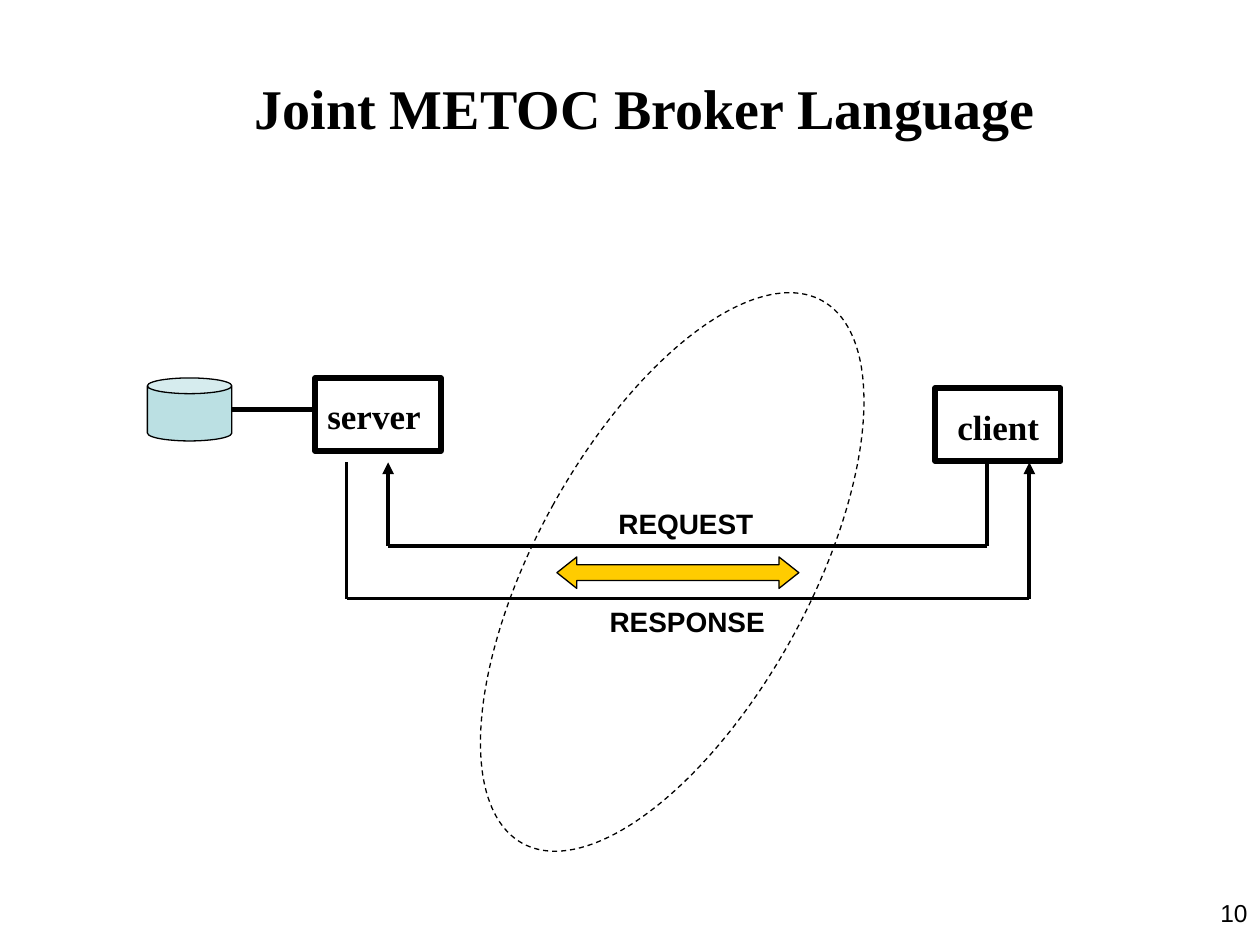
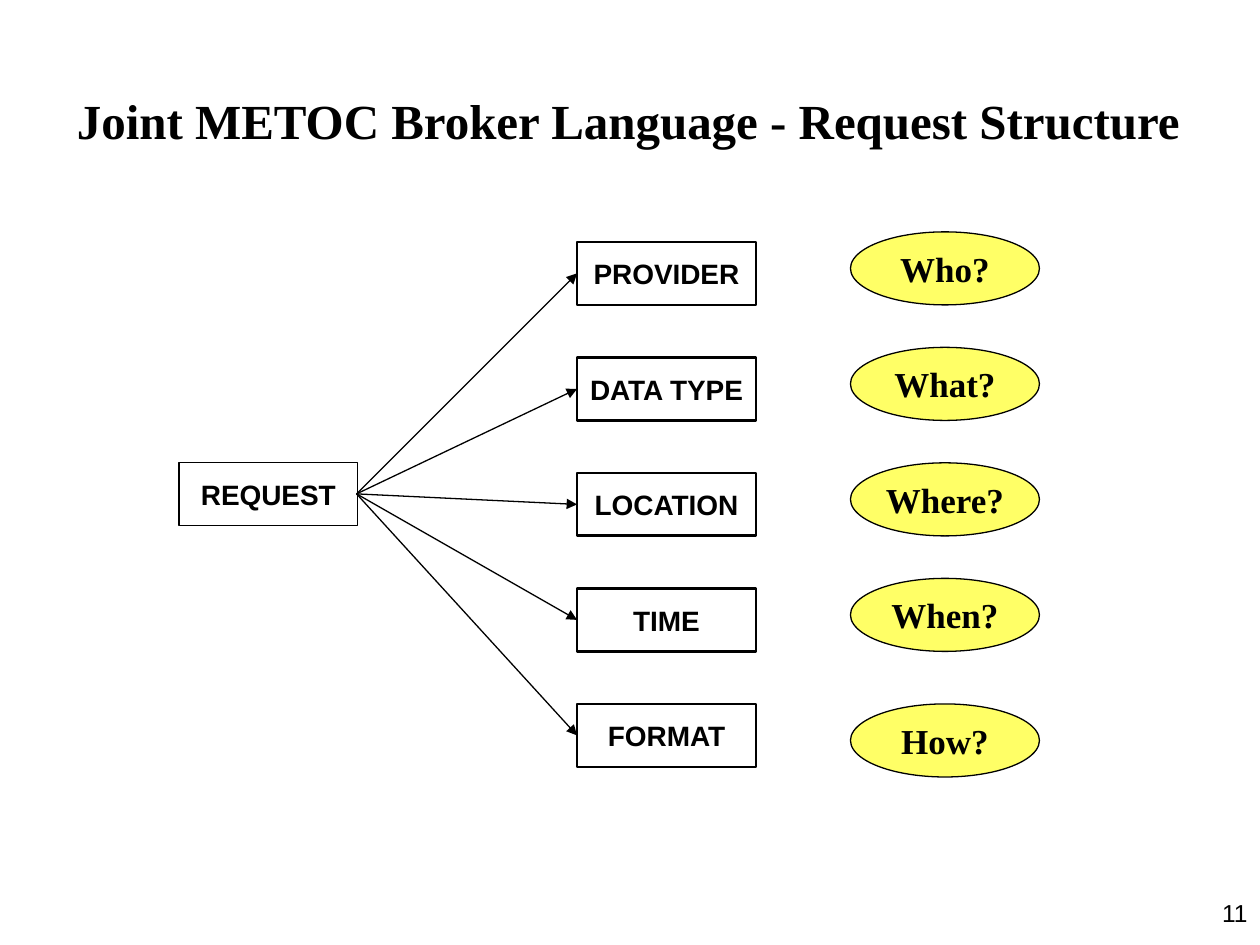
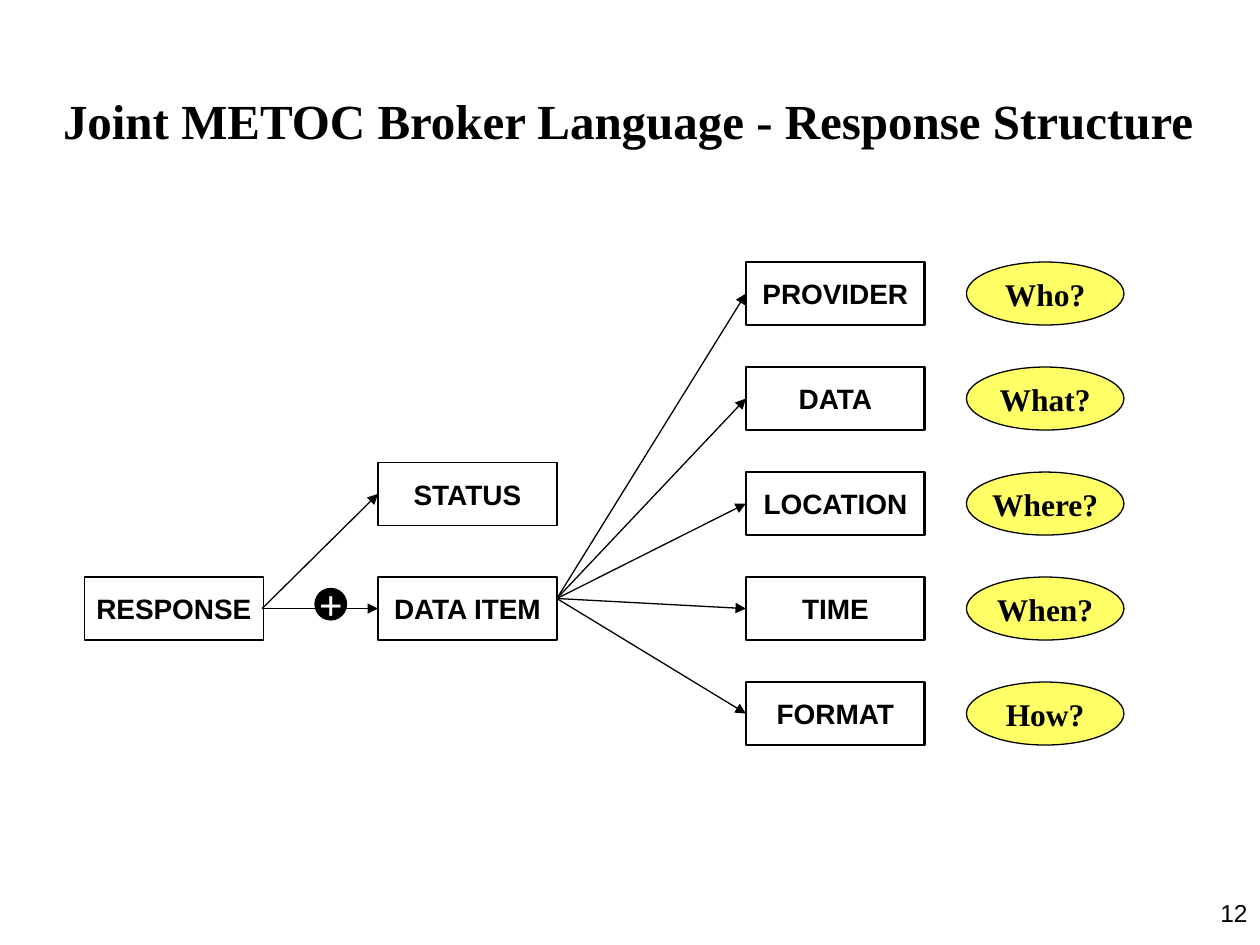
import pptx
import pptx.util
import pptx.dml.color
import pptx.enum.dml
import pptx.enum.shapes
import pptx.enum.text
import pptx.oxml.ns
from lxml import etree

Inches = pptx.util.Inches
Pt = pptx.util.Pt
RGBColor = pptx.dml.color.RGBColor
SHAPE = pptx.enum.shapes.MSO_SHAPE
ALIGN = pptx.enum.text.PP_ALIGN
ANCHOR = pptx.enum.text.MSO_ANCHOR
qn = pptx.oxml.ns.qn

BLACK = RGBColor(0x00, 0x00, 0x00)
WHITE = RGBColor(0xFF, 0xFF, 0xFF)
YELLOW = RGBColor(0xFF, 0xFF, 0x66)
GOLD = RGBColor(0xFF, 0xCC, 0x00)
PALE_BLUE = RGBColor(0xBB, 0xE0, 0xE3)
SERIF = "Times New Roman"
SANS = "Arial"
BOX_WIDTH, BOX_HEIGHT = 1.42, 0.5

OVERVIEW_LABELS = [
    ("server", (2.5, 3.08, 0.94, 0.44), SERIF, 20),
    ("client", (7.5, 3.17, 0.85, 0.44), SERIF, 20),
    ("REQUEST", (4.81, 3.97, 1.27, 0.37), SANS, 16),
    ("RESPONSE", (4.74, 4.75, 1.43, 0.37), SANS, 16),
]
OVERVIEW_ROUTES = [
    [(7.83, 3.67), (7.83, 4.33), (3.08, 4.33), (3.08, 3.67)],
    [(2.75, 3.67), (2.75, 4.75), (8.17, 4.75), (8.17, 3.67)],
]
REQUEST_PARTS = [
    ("PROVIDER", "Who?"),
    ("DATA TYPE", "What?"),
    ("LOCATION", "Where?"),
    ("TIME", "When?"),
    ("FORMAT", "How?"),
]
RESPONSE_PARTS = [
    ("DATA" if part == "DATA TYPE" else part, question)
    for part, question in REQUEST_PARTS
]


def write(shape, text, font_name, size, color=BLACK, bold=True, align=ALIGN.LEFT,
          anchor=ANCHOR.TOP, wrap=False):
    frame = shape.text_frame
    frame.text = text
    frame.word_wrap = wrap
    frame.vertical_anchor = anchor
    frame.margin_left = frame.margin_right = Inches(0.1)
    frame.margin_top = frame.margin_bottom = Inches(0.05)
    paragraph = frame.paragraphs[0]
    paragraph.alignment = align
    font = paragraph.runs[0].font
    font.name, font.size, font.bold = font_name, Pt(size), bold
    font.color.rgb = color


def add_label(slide, text, area, font_name, size, **style):
    textbox = slide.shapes.add_textbox(*map(Inches, area))
    write(textbox, text, font_name, size, **style)


def add_figure(slide, kind, area, fill=None, line_width=0.75):
    shape = slide.shapes.add_shape(kind, *map(Inches, area))
    shape.shadow.inherit = False
    if fill is None:
        shape.fill.background()
    else:
        shape.fill.solid()
        shape.fill.fore_color.rgb = fill
    shape.line.color.rgb = BLACK
    shape.line.width = Pt(line_width)
    return shape


def add_box(slide, text, left, top, line_width=0.75):
    box = add_figure(slide, SHAPE.RECTANGLE, (left, top, BOX_WIDTH, BOX_HEIGHT),
                     line_width=line_width)
    write(box, text, SANS, 16, align=ALIGN.CENTER, anchor=ANCHOR.MIDDLE)


def add_oval(slide, text, area, size, fill=YELLOW, color=BLACK):
    oval = add_figure(slide, SHAPE.OVAL, area, fill)
    write(oval, text, SERIF, size, color, align=ALIGN.CENTER, anchor=ANCHOR.MIDDLE)


def add_line(slide, start, end, width=0.75, arrow=True):
    connector = slide.shapes.add_connector(
        pptx.enum.shapes.MSO_CONNECTOR.STRAIGHT, *map(Inches, start + end))
    connector.line.color.rgb = BLACK
    connector.line.width = Pt(width)
    properties = connector._element.spPr
    if arrow:
        etree.SubElement(properties.find(qn("a:ln")), qn("a:tailEnd"), type="triangle")
    etree.SubElement(properties, qn("a:effectLst"))


def start_slide(presentation, title, area, size, number):
    slide = presentation.slides.add_slide(presentation.slide_layouts[5])
    placeholder = slide.shapes.title
    placeholder.left, placeholder.top, placeholder.width, placeholder.height = map(Inches, area)
    write(placeholder, title, SERIF, size)
    add_label(slide, str(number), (7.67, 7.08, 2.33, 0.42), SANS, 14,
              bold=False, align=ALIGN.RIGHT, wrap=True)
    return slide


def add_parts(slide, parts, source, left, top, pitch):
    for row, (part, _) in enumerate(parts):
        box_top = top + row * pitch
        add_box(slide, part, left, box_top, 1.5)
        add_line(slide, source, (left, box_top + BOX_HEIGHT / 2))


def build_overview(presentation):
    slide = start_slide(presentation, "Joint METOC Broker Language",
                        (1.92, 0.53, 6.42, 0.64), 32, 10)
    add_figure(slide, SHAPE.CAN, (1.17, 3, 0.67, 0.5), PALE_BLUE)
    for label in OVERVIEW_LABELS:
        add_label(slide, *label)
    for route in OVERVIEW_ROUTES:
        for start, end in zip(route, route[1:]):
            add_line(slide, start, end, 2.25, arrow=end == route[-1])
    network = add_figure(slide, SHAPE.OVAL, (4.25, 2.08, 2.17, 4.92))
    network.rotation = 28.9
    network.line.dash_style = pptx.enum.dml.MSO_LINE.DASH
    exchange = add_figure(slide, SHAPE.LEFT_RIGHT_ARROW, (4.42, 4.42, 1.92, 0.25), GOLD)
    exchange.adjustments[1] = 0.63
    for left, top in [(2.5, 3), (7.42, 3.08)]:
        add_figure(slide, SHAPE.RECTANGLE, (left, top, 1, 0.58), line_width=3)
    add_line(slide, (2.5, 3.25), (1.83, 3.25), 3, arrow=False)


def build_request(presentation):
    slide = start_slide(presentation, "Joint METOC Broker Language - Request Structure",
                        (0.51, 0.67, 8.98, 0.57), 28, 11)
    top, pitch = 1.92, 11 / 12
    add_box(slide, "REQUEST", 1.42, 3.67)
    add_parts(slide, REQUEST_PARTS, (2.83, 3.92), 4.58, top, pitch)
    for row, (part, question) in enumerate(REQUEST_PARTS):
        lift = 0 if part == "FORMAT" else 0.08
        add_oval(slide, question, (6.75, top + row * pitch - lift, 1.5, 0.58), 20)


def build_response(presentation):
    slide = start_slide(presentation, "Joint METOC Broker Language - Response Structure",
                        (0.4, 0.67, 9.19, 0.57), 28, 12)
    top, pitch = 2.08, 5 / 6
    add_parts(slide, RESPONSE_PARTS, (4.42, 4.75), 5.92, top, pitch)
    for row, (_, question) in enumerate(RESPONSE_PARTS):
        add_oval(slide, question, (7.67, top + row * pitch, 1.25, 0.5), 18)
    add_box(slide, "RESPONSE", 0.67, 4.58)
    for text, box_top in [("DATA ITEM", 4.58), ("STATUS", 3.67)]:
        add_box(slide, text, 3, box_top)
        add_line(slide, (2.08, 4.83), (3, box_top + BOX_HEIGHT / 2))
    add_oval(slide, "+", (2.5, 4.67, 0.25, 0.25), 24, BLACK, WHITE)


def main():
    presentation = pptx.Presentation()
    presentation.slide_width, presentation.slide_height = Inches(10), Inches(7.5)
    build_overview(presentation)
    build_request(presentation)
    build_response(presentation)
    presentation.save("out.pptx")


if __name__ == "__main__":
    main()
